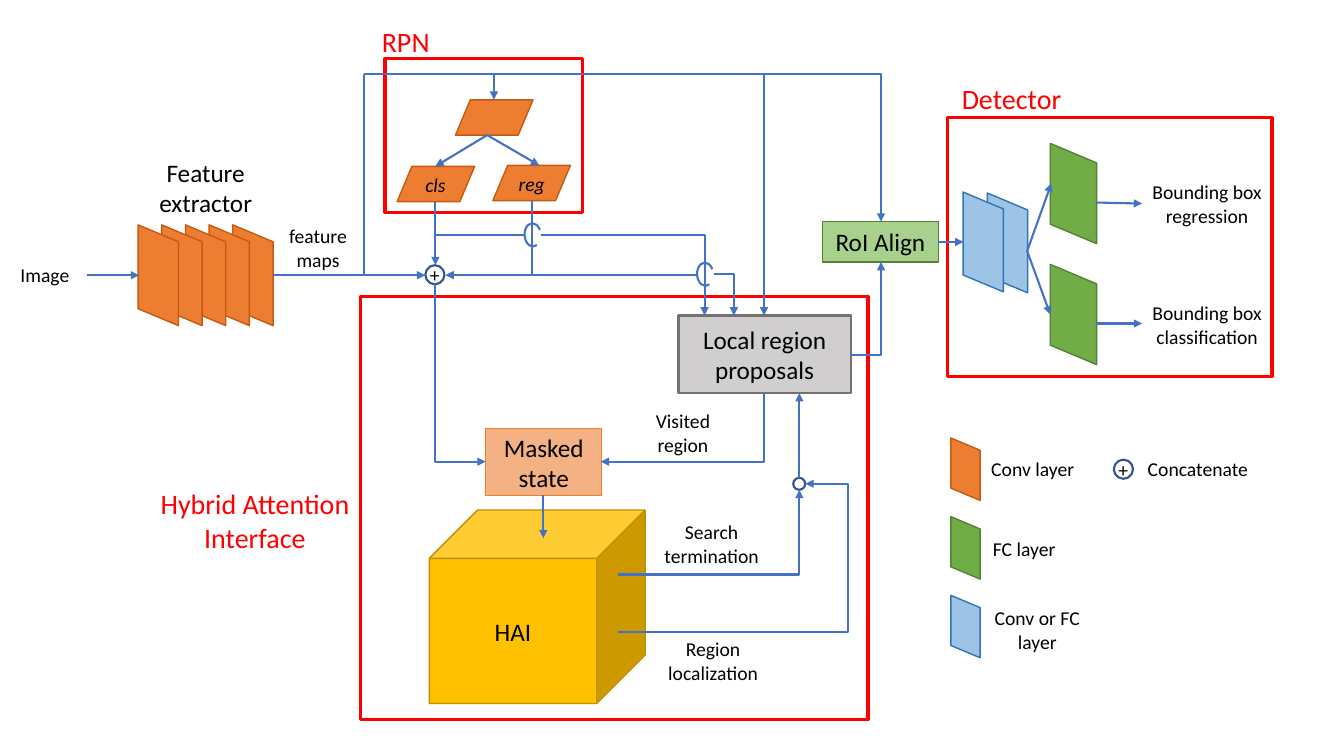
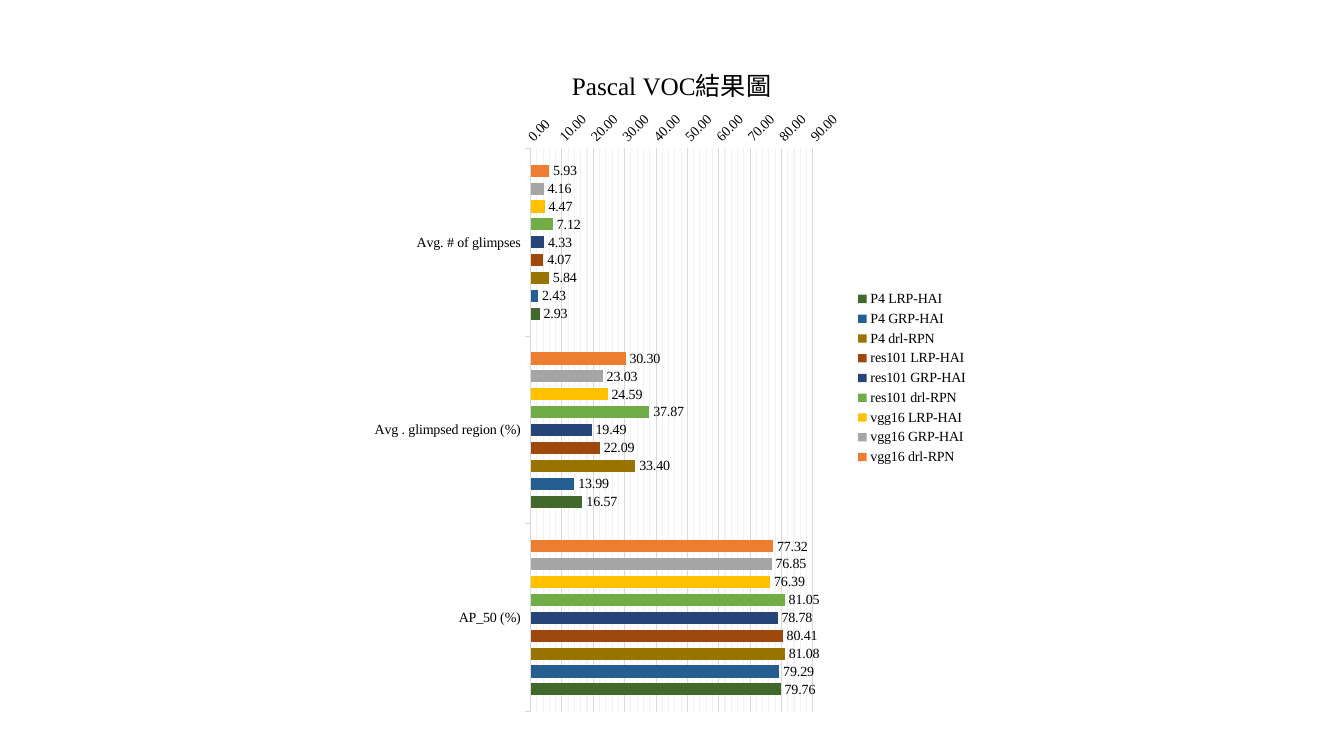
from typing import NamedTuple

from lxml.etree import SubElement
from pptx import Presentation
from pptx.chart.data import CategoryChartData
from pptx.dml.color import RGBColor
from pptx.enum.chart import XL_CHART_TYPE, XL_LABEL_POSITION, XL_LEGEND_POSITION, XL_TICK_MARK
from pptx.enum.shapes import MSO_CONNECTOR, MSO_SHAPE
from pptx.enum.text import MSO_ANCHOR, PP_ALIGN
from pptx.oxml import parse_xml
from pptx.oxml.ns import nsdecls, qn
from pptx.util import Pt

SANS, SERIF = "Calibri", "Times New Roman"
BLACK, RED, BLUE, NAVY = "000000", "FF0000", "4472C4", "325491"
PALE, FAINT = "D9D9D9", "F2F2F2"
CONV = ("ED7D31", "C55A11")
FULL = ("70AD47", "548235")
MIX = ("9DC3E6", "2E75B6")


class Label(NamedTuple):
    text: str
    x: float
    y: float
    w: float
    h: float
    size: float = 14
    color: str = BLACK
    italic: bool = False


class Node(NamedTuple):
    kind: MSO_SHAPE
    x: float
    y: float
    w: float
    h: float
    fill: str | None
    line: str
    width: float = 1
    text: str = ""
    size: float = 18
    turn: float = 0
    adjust: tuple[float, ...] = ()


class Link(NamedTuple):
    x1: float
    y1: float
    x2: float
    y2: float
    end: str | None = "tailEnd"
    preset: str = "line"
    adjust: float | None = None


def slab(x: float, y: float, w: float, h: float, tint: tuple[str, str], turn: float = 270) -> Node:
    return Node(MSO_SHAPE.PARALLELOGRAM, x, y, w, h, *tint, turn=turn, adjust=(0.42,))


def frame(x: float, y: float, w: float, h: float) -> Node:
    return Node(MSO_SHAPE.RECTANGLE, x, y, w, h, None, RED, 2.25)


def ring(x: float, y: float, size: float, text: str = "") -> Node:
    return Node(MSO_SHAPE.FLOWCHART_CONNECTOR, x, y, size, size, None, NAVY, 1.5, text, 14)


def arc(x: float, y: float) -> Node:
    return Node(MSO_SHAPE.ARC, x, y, 16.6, 11.5, None, BLUE, 1.5, turn=267.1, adjust=(96.01, 34.93))


def bend(x1: float, y1: float, x2: float, y2: float, end: str | None = "tailEnd") -> Link:
    return Link(x1, y1, x2, y2, end, "bentConnector2")


NODES = [
    Node(MSO_SHAPE.CUBE, 306.7, 364.3, 154.1, 138.2, "FFC000", "BF9000", text="HAI"),
    Node(MSO_SHAPE.RECTANGLE, 484.6, 225.4, 123.1, 55.4, "D0CECE", "767171", 1.5, "Local region proposals"),
    Node(MSO_SHAPE.RECTANGLE, 347, 306, 82.8, 48.2, "F4B183", "ED7D31", text="Masked state"),
    Node(MSO_SHAPE.RECTANGLE, 587.5, 158.4, 82.8, 28.8, "A9D18E", "548235", 0.75, "RoI Align"),
    ring(566.6, 341.3, 8.6),
    ring(795.6, 328.3, 13.7, "+"),
    ring(303.8, 189.4, 13.7, "+"),
    frame(257.8, 211.7, 362.2, 302.4),
    frame(275, 41.8, 141.1, 110.2),
    frame(676.8, 84.2, 231.8, 185),
    *(slab(667.4, 324.7 + 56.2 * i, 44.6, 20.9, tint) for i, tint in enumerate((CONV, FULL, MIX))),
    *(slab(x, y, 55.4, 25.2, CONV, 0) for x, y in ((325.4, 71.3), (283.7, 118.8), (352.1, 118.1))),
    *(slab(144.7 - 16.9 * i, 182.2, 72, 28.8, CONV) for i in range(5)),
    *(slab(731, y, 71.6, 33.1, FULL) for y in (121.7, 208.1)),
    *(slab(x, y, 71.3, 28.8, MIX) for x, y in ((684, 159.1), (666.7, 158.4))),
    arc(372.2, 162),
    arc(495.4, 190.1),
]

LINKS = [
    Link(388.1, 353.5, 388.1, 384.5),
    Link(61.9, 196.6, 99.4, 196.6),
    Link(348, 96.5, 385.2, 118.1),
    Link(348, 96.5, 311, 118.8),
    Link(733.7, 179.3, 751, 131),
    Link(733.7, 179.3, 750.2, 224.6),
    Link(782.6, 231.1, 815.8, 231.1),
    Link(783.4, 144.7, 815.8, 145.4),
    Link(670.3, 172.8, 688.3, 172.8),
    Link(195.1, 196.6, 303.8, 196.6),
    Link(571, 341.3, 571, 280.8),
    Link(311, 144, 311, 189.4),
    Link(259.9, 196.6, 259.9, 52.9, None),
    Link(498.2, 196.6, 380.2, 196.6, None),
    bend(259.9, 52.9, 352.8, 71.3),
    bend(259.9, 52.9, 545.8, 225.4),
    bend(259.9, 52.9, 629.3, 158.4),
    bend(441.4, 410.4, 571, 349.9),
    bend(607, 253.4, 629.3, 187.2),
    bend(386.6, 168.1, 503.3, 225.4),
    bend(509.8, 195.5, 524.2, 225.4),
    bend(429.1, 329.8, 545.8, 280.8, "headEnd"),
    bend(347, 329.8, 311, 203, "headEnd"),
    bend(318.2, 196.6, 380.2, 143.3, "headEnd"),
    bend(375.1, 167.8, 311, 147.6, None),
    Link(441.4, 451.4, 575.3, 345.6, "tailEnd", "bentConnector3", 1.227),
]

LABELS = [
    Label("Image", 2.2, 184.3, 59.8, 24.5),
    Label("Feature extractor", 103, 106.6, 87.8, 54, 18),
    Label("feature\nmaps", 180, 159.1, 94.3, 36),
    Label("RPN", 234, 15.1, 111.6, 28.8, 20, RED),
    Label("Detector", 679, 56.2, 87.1, 28.1, 20, RED),
    Label("Hybrid Attention Interface", 101.5, 333.4, 161.3, 76.3, 20, RED),
    Label("cls", 292.3, 113.8, 37.4, 36, italic=True),
    Label("reg", 360, 113, 39.6, 36, italic=True),
    Label("Visited region", 448.6, 288.7, 78.5, 41),
    Label("Search termination", 454.3, 367.9, 108, 41),
    Label("Region\nlocalization", 439.9, 451.4, 139, 41),
    Label("Bounding box regression", 815.8, 120.2, 92.9, 50.4),
    Label("Bounding box classification", 815.8, 206.6, 92.9, 50.4),
    Label("Conv layer", 700.6, 322.6, 74.2, 24.5),
    Label("FC layer", 700.6, 379.4, 61.9, 24.5),
    Label("Conv or FC layer", 700.6, 429.1, 80.6, 41),
    Label("Concatenate", 810, 322.6, 91.4, 24.5),
]

GROUPS = ("Avg. # of glimpses", "Avg . glimpsed region (%)", "AP_50 (%)")
SERIES = (
    ("vgg16 drl-RPN", (5.93, 30.3, 77.32), "ED7D31"),
    ("vgg16 GRP-HAI", (4.16, 23.03, 76.85), "A5A5A5"),
    ("vgg16 LRP-HAI", (4.47, 24.59, 76.39), "FFC000"),
    ("res101 drl-RPN", (7.12, 37.87, 81.05), "70AD47"),
    ("res101 GRP-HAI", (4.33, 19.49, 78.78), "264478"),
    ("res101 LRP-HAI", (4.07, 22.09, 80.41), "9E480E"),
    ("P4 drl-RPN", (5.84, 33.4, 81.08), "997300"),
    ("P4 GRP-HAI", (2.43, 13.99, 79.29), "255E91"),
    ("P4 LRP-HAI", (2.93, 16.57, 79.76), "43682B"),
)


def rgb(code: str) -> RGBColor:
    return RGBColor.from_string(code)


def style(font, name: str, size: float, color: str = BLACK) -> None:
    font.name, font.size = name, Pt(size)
    font.color.rgb = rgb(color)


def stroke(line, color: str, width: float) -> None:
    line.color.rgb = rgb(color)
    line.width = Pt(width)


def write(shape, text: str, size: float, color: str = BLACK, italic: bool = False) -> None:
    body = shape.text_frame
    body.text = text
    body.word_wrap = shape.height > Pt(2 * size)
    body.vertical_anchor = MSO_ANCHOR.MIDDLE
    for para in body.paragraphs:
        para.alignment = PP_ALIGN.CENTER
        style(para.font, SANS, size, color)
        para.font.italic = italic


def add_node(slide, node: Node) -> None:
    shape = slide.shapes.add_shape(node.kind, Pt(node.x), Pt(node.y), Pt(node.w), Pt(node.h))
    shape.shadow.inherit = False
    shape.rotation = node.turn
    for i, value in enumerate(node.adjust):
        shape.adjustments[i] = value
    if node.fill:
        shape.fill.solid()
        shape.fill.fore_color.rgb = rgb(node.fill)
    else:
        shape.fill.background()
    stroke(shape.line, node.line, node.width)
    if node.text:
        write(shape, node.text, node.size)


def add_link(slide, link: Link) -> None:
    ends = (Pt(value) for value in link[:4])
    shape = slide.shapes.add_connector(MSO_CONNECTOR.STRAIGHT, *ends)
    stroke(shape.line, BLUE, 1.5)
    props = shape._element.spPr
    if link.end:
        SubElement(props.find(qn("a:ln")), qn(f"a:{link.end}"), type="triangle")
    SubElement(props, qn("a:effectLst"))
    form = props.find(qn("a:prstGeom"))
    form.set("prst", link.preset)
    if link.adjust is not None:
        guide = form.find(qn("a:avLst"))
        SubElement(guide, qn("a:gd"), name="adj1", fmla=f"val {round(link.adjust * 100000)}")


def add_label(slide, label: Label) -> None:
    box = slide.shapes.add_textbox(Pt(label.x), Pt(label.y), Pt(label.w), Pt(label.h))
    write(box, label.text, label.size, label.color, label.italic)


def layout(inner: bool, **sides: float):
    target = '<c:layoutTarget val="inner"/>' if inner else ""
    modes = '<c:xMode val="edge"/><c:yMode val="edge"/>'
    parts = "".join(f'<c:{key} val="{value}"/>' for key, value in sides.items())
    return parse_xml(f'<c:layout {nsdecls("c")}><c:manualLayout>{target}{modes}{parts}</c:manualLayout></c:layout>')


def place(item, rule) -> None:
    old = item.find(qn("c:layout"))
    if old is not None:
        item.remove(old)
    after = item.find(qn("c:tx"))
    if after is None:
        item.insert(0, rule)
    else:
        after.addnext(rule)


def add_graph(slide) -> None:
    data = CategoryChartData()
    data.categories = GROUPS
    for name, values, _ in SERIES:
        data.add_series(name, values)
    spot = (Pt(260.6), Pt(21.6), Pt(438.5), Pt(496.8))
    chart = slide.shapes.add_chart(XL_CHART_TYPE.BAR_CLUSTERED, *spot, data).chart
    style(chart.font, SERIF, 10)

    title = chart.chart_title
    title.text_frame.text = "Pascal VOC結果圖"
    para = title.text_frame.paragraphs[0]
    style(para.font, SERIF, 18)
    para.font.bold = False
    place(title._element, layout(False, x=0.33, y=0.04))
    place(chart._chartSpace.chart.plotArea, layout(True, x=0.27, y=0.17, w=0.46, h=0.81))

    chart.has_legend = True
    chart.legend.position = XL_LEGEND_POSITION.RIGHT
    chart.legend.include_in_layout = False
    style(chart.legend.font, SERIF, 10)

    rows = chart.category_axis
    rows.reverse_order = True
    rows.major_tick_mark = XL_TICK_MARK.OUTSIDE
    stroke(rows.format.line, PALE, 0.75)
    style(rows.tick_labels.font, SERIF, 10)

    scale = chart.value_axis
    scale.minimum_scale, scale.maximum_scale = 0, 90
    scale.major_unit, scale.minor_unit = 10, 2
    scale.major_tick_mark = XL_TICK_MARK.NONE
    scale.has_minor_gridlines = True
    stroke(scale.major_gridlines.format.line, PALE, 0.75)
    minor = SubElement(scale._element.find(qn("c:minorGridlines")), qn("c:spPr"))
    fill = SubElement(SubElement(minor, qn("a:ln"), w=str(Pt(0.75))), qn("a:solidFill"))
    SubElement(fill, qn("a:srgbClr"), val=FAINT)
    scale.format.line.fill.background()
    ticks = scale.tick_labels
    ticks.number_format, ticks.number_format_is_linked = "0.00", False
    style(ticks.font, SERIF, 10)
    scale._element.find(qn("c:txPr")).find(qn("a:bodyPr")).set("rot", "-2700000")

    plot = chart.plots[0]
    plot.gap_width, plot.overlap = 269, -48
    plot.vary_by_categories = False
    for bars, (_, _, color) in zip(plot.series, SERIES):
        bars.format.fill.solid()
        bars.format.fill.fore_color.rgb = rgb(color)
        tags = bars.data_labels
        tags.show_value = True
        tags.position = XL_LABEL_POSITION.OUTSIDE_END
        tags.number_format, tags.number_format_is_linked = "0.00", False
        style(tags.font, SERIF, 10)


def main() -> None:
    deck = Presentation()
    deck.slide_width, deck.slide_height = Pt(960), Pt(540)
    flow, result = (deck.slides.add_slide(deck.slide_layouts[6]) for _ in range(2))
    for draw, items in ((add_node, NODES), (add_link, LINKS), (add_label, LABELS)):
        for item in items:
            draw(flow, item)
    add_graph(result)
    deck.save("out.pptx")


if __name__ == "__main__":
    main()
